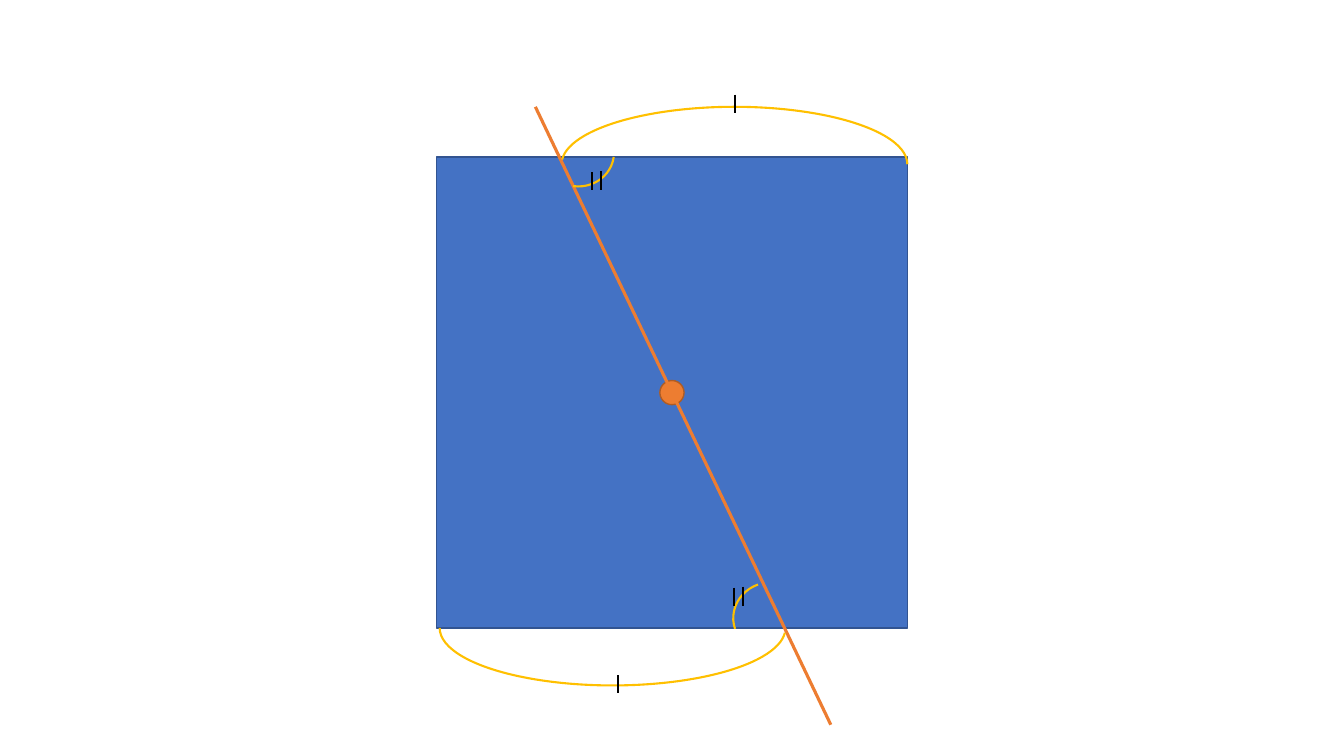
from dataclasses import dataclass

from lxml.etree import SubElement
from pptx import Presentation
from pptx.dml.color import RGBColor
from pptx.dml.line import LineFormat
from pptx.enum.shapes import MSO_CONNECTOR as Link, MSO_SHAPE as Kind
from pptx.oxml.ns import qn
from pptx.shapes.autoshape import Shape
from pptx.util import Inches, Pt

HUES = {
    "square": "4472C4",
    "border": "325491",
    "center": "ED7D31",
    "rim": "AF5C24",
    "arc": "FFC000",
    "tick": "000000",
}


@dataclass
class Arc:
    left: float
    top: float
    width: float
    height: float
    turn: float = 0
    start: float = 162


@dataclass
class Tick:
    x: float
    top: float
    low: float


SIDE = 4.67
LEFT, TOP = 4.33, 1.56
DOT = 0.24
SPAN = (3.43, 1.14)
ANGLE = (0.68, 0.72)
HALF = 108.95

ARCS = [
    Arc(5.57, 1.06, *SPAN, start=HALF),
    Arc(4.36, 5.66, *SPAN, turn=180, start=HALF),
    Arc(5.39, 1.15, *ANGLE, turn=97.6),
    Arc(7.29, 5.76, *ANGLE, turn=250.8),
]

TICKS = [
    Tick(7.29, 0.94, 1.12),
    Tick(6.13, 6.7, 6.88),
    Tick(5.87, 1.71, 1.89),
    Tick(5.96, 1.7, 1.89),
    Tick(7.28, 5.83, 6.01),
    Tick(7.37, 5.82, 6.01),
]

deck = Presentation()
deck.slide_width, deck.slide_height = Inches(13.33), Inches(7.5)
slide = deck.slides.add_slide(deck.slide_layouts[6])


def ink(line: LineFormat, hue: str, width: float) -> None:
    line.color.rgb = RGBColor.from_string(HUES[hue])
    line.width = Pt(width)


def add_shape(kind: Kind, left: float, top: float, width: float, height: float,
              edge: str, weight: float, fill: str = "") -> Shape:
    shape = slide.shapes.add_shape(
        kind, Inches(left), Inches(top), Inches(width), Inches(height))
    shape.shadow.inherit = False
    if fill:
        shape.fill.solid()
        shape.fill.fore_color.rgb = RGBColor.from_string(HUES[fill])
    else:
        shape.fill.background()
    ink(shape.line, edge, weight)
    return shape


def add_line(x1: float, y1: float, x2: float, y2: float,
             hue: str, weight: float) -> None:
    line = slide.shapes.add_connector(
        Link.STRAIGHT, Inches(x1), Inches(y1), Inches(x2), Inches(y2))
    ink(line.line, hue, weight)
    SubElement(line.element.spPr, qn("a:effectLst"))


def add_arc(arc: Arc) -> None:
    shape = add_shape(
        Kind.ARC, arc.left, arc.top, arc.width, arc.height, "arc", 1.5)
    shape.rotation = arc.turn
    shape.adjustments[0] = arc.start
    shape.adjustments[1] = 0


def add_tick(tick: Tick) -> None:
    add_line(tick.x, tick.top, tick.x, tick.low, "tick", 1.5)


inset = (SIDE - DOT) / 2
add_shape(Kind.RECTANGLE, LEFT, TOP, SIDE, SIDE, "border", 1, "square")
add_shape(Kind.OVAL, LEFT + inset, TOP + inset, DOT, DOT, "rim", 1, "center")
add_line(5.31, 1.06, 8.24, 7.19, "center", 2.25)
for arc in ARCS:
    add_arc(arc)
for tick in TICKS:
    add_tick(tick)

deck.save("out.pptx")
